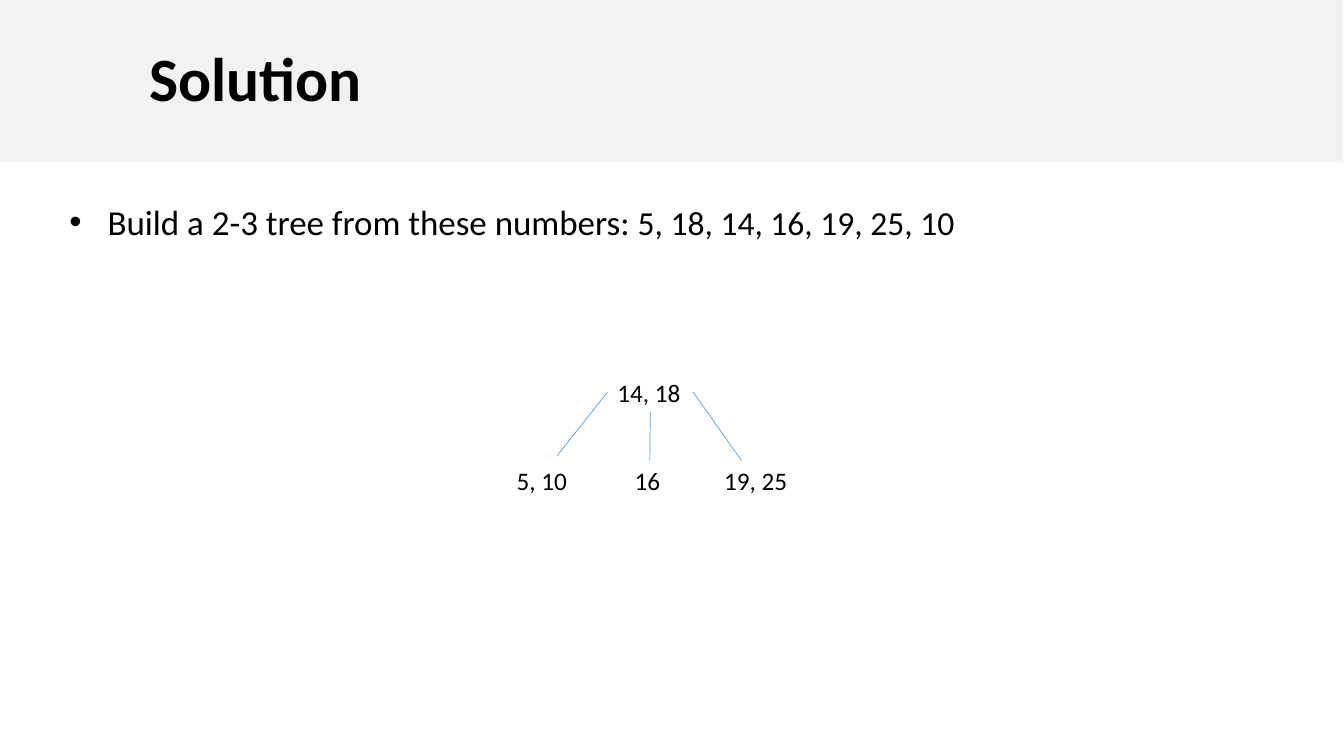
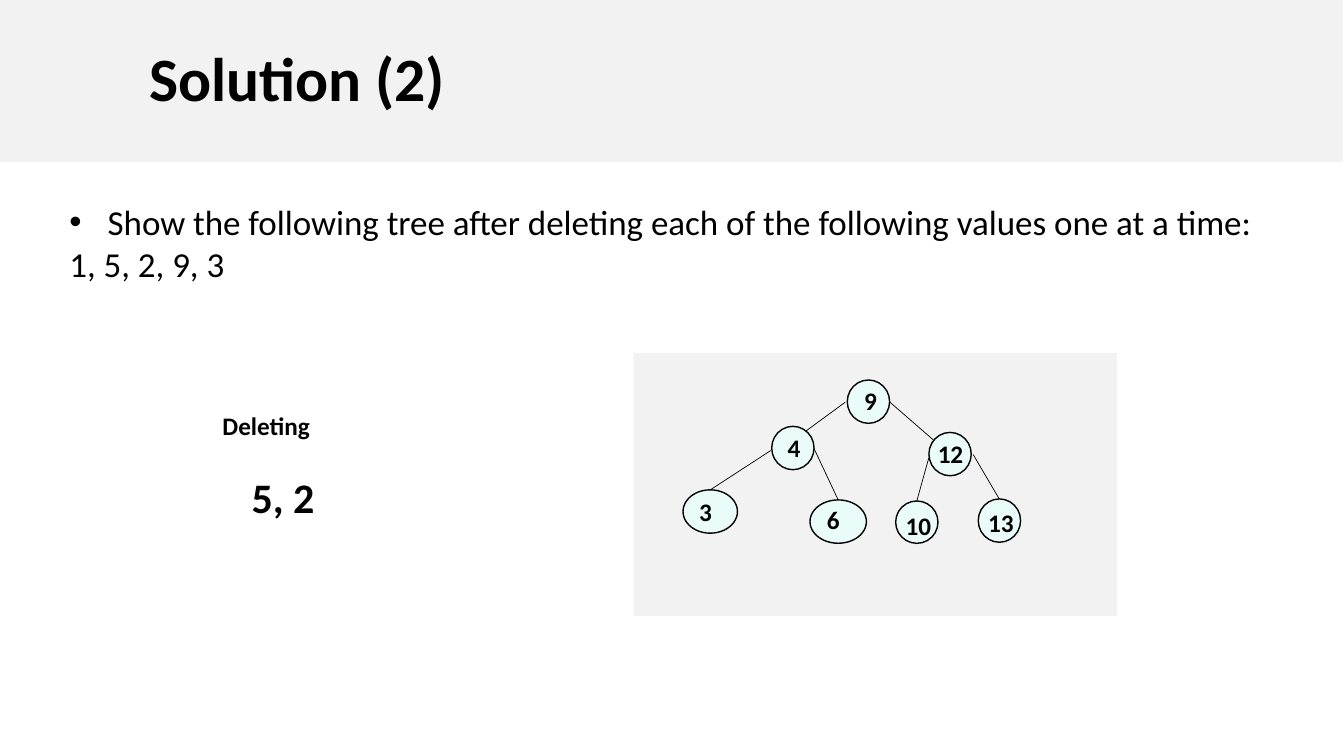
from typing import NamedTuple

from lxml import etree
from pptx import Presentation
from pptx.dml.color import RGBColor
from pptx.enum.shapes import MSO_CONNECTOR, MSO_SHAPE
from pptx.enum.text import MSO_ANCHOR, MSO_AUTO_SIZE, PP_ALIGN
from pptx.oxml.ns import qn
from pptx.util import Pt

PX = 9144  # one px is a hundredth of an inch
RECT, OVAL = MSO_SHAPE.RECTANGLE, MSO_SHAPE.OVAL
LINE = MSO_CONNECTOR.STRAIGHT
MIDDLE = MSO_ANCHOR.MIDDLE
ALIGN_LEFT = PP_ALIGN.LEFT
GROW = MSO_AUTO_SIZE.SHAPE_TO_FIT_TEXT
LEFT, BOTTOM, RIGHT = 1, 2, 3  # connection sites of a rectangle

FONT = "Calibri"
BLACK, GREY, BLUE, MINT = "000000", "F2F2F2", "5B9BD5", "EAFCFA"
BULLET_INDENT = 38
LABEL_HEIGHT = 40
LABEL_WIDTHS = {1: 33, 2: 46, 5: 73, 6: 85}  # by number of characters


class Box(NamedTuple):
    x: int
    y: int
    w: int
    h: int


class Run(NamedTuple):
    text: str
    size: int
    bold: bool = False


class Node(NamedTuple):
    text: str
    oval: Box
    label_x: int
    label_y: int


class Edge(NamedTuple):
    x1: int
    y1: int
    x2: int
    y2: int


LEAVES = [("5, 10", 503), ("16", 620), ("19, 25", 709)]
ROOT_EDGES = [
    (LEFT, Edge(603, 389, 553, 452)),
    (BOTTOM, Edge(645, 409, 645, 457)),
    (RIGHT, Edge(688, 389, 736, 457)),
]

NODES = [
    Node("9", Box(841, 377, 42, 43), 848, 377),
    Node("4", Box(766, 423, 42, 43), 772, 424),
    Node("12", Box(922, 429, 42, 43), 921, 430),
    Node("3", Box(678, 486, 54, 43), 684, 487),
    Node("6", Box(804, 496, 56, 43), 811, 495),
    Node("10", Box(889, 497, 42, 42), 889, 501),
    Node("13", Box(971, 495, 42, 43), 971, 498),
]
EDGES = [
    Edge(839, 399, 779, 443),
    Edge(881, 397, 934, 443),
    Edge(765, 447, 705, 486),
    Edge(808, 445, 832, 496),
    Edge(922, 454, 910, 497),
    Edge(966, 451, 993, 497),
]


def emu(*lengths: int) -> list[int]:
    return [n * PX for n in lengths]


def rgb(color: str) -> RGBColor:
    return RGBColor.from_string(color)


def add_runs(p, *runs: Run) -> None:
    for run in runs:
        r = p.add_run()
        r.text = run.text
        font = r.font
        font.name, font.size, font.bold = FONT, Pt(run.size), run.bold
        font.color.rgb = rgb(BLACK)


def indent(p, left: int, first: int = 0, bullet: str = "") -> None:
    pPr = p._p.get_or_add_pPr()
    pPr.set("marL", str(left * PX))
    pPr.set("indent", str(first * PX))
    if bullet:
        etree.SubElement(pPr, qn("a:buFont")).set("typeface", "Arial")
        etree.SubElement(pPr, qn("a:buChar")).set("char", bullet)


def add_filled(s, kind, box: Box, fill: str, *, line: str = ""):
    sp = s.shapes.add_shape(kind, *emu(*box))
    sp.shadow.inherit = False
    sp.fill.solid()
    sp.fill.fore_color.rgb = rgb(fill)
    if line:
        sp.line.color.rgb = rgb(line)
        sp.line.width = Pt(1)
    else:
        sp.line.fill.background()
    return sp


def add_text(s, box: Box, *runs: Run, wrap: bool = False):
    sp = s.shapes.add_textbox(*emu(*box))
    tf = sp.text_frame
    tf.word_wrap, tf.auto_size = wrap, GROW
    add_runs(tf.paragraphs[0], *runs)
    return sp


def add_label(s, text: str, x: int, y: int, *, bold: bool = False):
    box = Box(x, y, LABEL_WIDTHS[len(text)], LABEL_HEIGHT)
    return add_text(s, box, Run(text, 18, bold))


def add_edge(s, edge: Edge, color: str):
    cx = s.shapes.add_connector(LINE, *emu(*edge))
    cx.line.color.rgb = rgb(color)
    cx.line.width = Pt(0.5)
    etree.SubElement(cx._element.spPr, qn("a:effectLst"))
    return cx


def add_slide(prs, title: str, height: int, *task: Run):
    """Start a slide with its title band and bulleted task; return slide and task frame."""
    s = prs.slides.add_slide(prs.slide_layouts[6])
    tf = add_filled(s, RECT, Box(0, 0, 1333, 161), GREY).text_frame
    tf.margin_left = 148 * PX
    tf.vertical_anchor = MIDDLE
    p = tf.paragraphs[0]
    p.alignment = ALIGN_LEFT
    p.line_spacing = 0.9
    add_runs(p, Run(title, 44, True))
    tf = add_text(s, Box(59, 194, 1223, height), *task, wrap=True).text_frame
    indent(tf.paragraphs[0], BULLET_INDENT, -BULLET_INDENT, "•")
    return s, tf


def build_insertion(prs) -> None:
    s, _ = add_slide(prs, "Solution", 52,
                     Run("Build a 2-3 tree from these numbers: ", 25),
                     Run("5, 18, 14, 16, 19, 25, 10", 24))
    root = add_label(s, "14, 18", 603, 369)
    for text, x in LEAVES:
        add_label(s, text, x, 457)
    for side, edge in ROOT_EDGES:
        add_edge(s, edge, BLUE).begin_connect(root, side)


def build_deletion(prs) -> None:
    s, tf = add_slide(prs, "Solution (2)", 94, Run(
        "Show the following tree after deleting each of the following values "
        "one at a time:", 25))
    p = tf.add_paragraph()
    indent(p, BULLET_INDENT, -BULLET_INDENT)
    add_runs(p, Run("1, 5, 2, 9, 3", 25))

    step = add_text(s, Box(211, 402, 130, 120), Run("Deleting", 18, True))
    p = step.text_frame.add_paragraph()
    indent(p, 29)
    p.space_before = Pt(22)
    add_runs(p, Run("5, 2", 30, True))

    add_filled(s, RECT, Box(629, 350, 480, 261), GREY)
    for edge in EDGES:
        add_edge(s, edge, BLACK)
    for node in NODES:
        add_filled(s, OVAL, node.oval, MINT, line=BLACK)
        add_label(s, node.text, node.label_x, node.label_y, bold=True)


def main() -> None:
    prs = Presentation()
    prs.slide_width, prs.slide_height = emu(1334, 750)
    build_insertion(prs)
    build_deletion(prs)
    prs.save("out.pptx")


if __name__ == "__main__":
    main()
